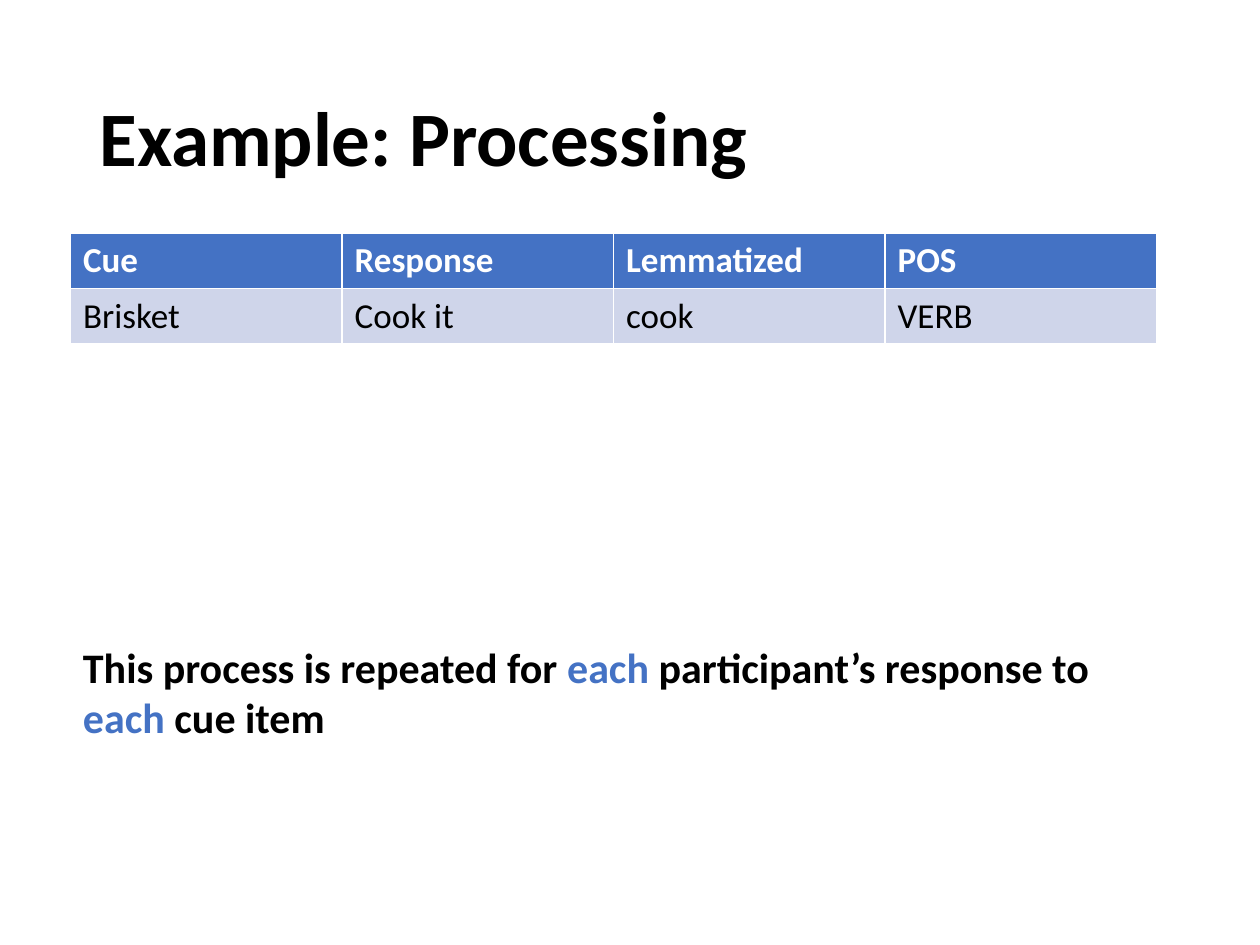
from pptx import Presentation
from pptx.dml.color import RGBColor
from pptx.enum.text import MSO_ANCHOR as Anchor, MSO_AUTO_SIZE as AutoSize, PP_ALIGN as Align
from pptx.util import Inches, Pt

COLORS = {"text": "000000", "accent": "4472C4", "header_text": "FFFFFF", "body_fill": "CFD5EA"}
FONT = "Calibri"
TITLE = "Example: Processing"
ROWS = [
    ("Cue", "Response", "Lemmatized", "POS"),
    ("Brisket", "Cook it", "cook", "VERB"),
]
SUMMARY = [
    ("This process is repeated for ", "text"),
    ("each", "accent"),
    (" participant’s response to ", "text"),
    ("each", "accent"),
    (" cue item", "text"),
]
LEFT, TABLE_WIDTH, ROW_HEIGHT = 0.56, 8.62, 0.43


def rgb(key):
    """Return the named colour."""
    return RGBColor.from_string(COLORS[key])


def add_run(paragraph, text, size, color, bold=True):
    """Append one formatted run."""
    run = paragraph.add_run()
    run.text = text
    run.font.name = FONT
    run.font.size = Pt(size)
    run.font.bold = bold
    run.font.color.rgb = rgb(color)


def add_title(slide):
    """Place the title in its placeholder."""
    title = slide.shapes.title
    title.left, title.top = Inches(0.69), Inches(0.4)
    title.width, title.height = Inches(8.62), Inches(1.45)
    frame = title.text_frame
    frame.auto_size = AutoSize.NONE
    frame.vertical_anchor = Anchor.MIDDLE
    heading = frame.paragraphs[0]
    heading.alignment = Align.LEFT
    heading.line_spacing = 0.9
    add_run(heading, TITLE, 44, "text")


def add_responses(slide):
    """Build the table of processed responses."""
    responses = slide.shapes.add_table(
        len(ROWS), len(ROWS[0]), Inches(LEFT), Inches(1.85),
        Inches(TABLE_WIDTH), Inches(ROW_HEIGHT * len(ROWS)),
    ).table
    for row, texts in enumerate(ROWS):
        is_header = row == 0
        for column, text in enumerate(texts):
            cell = responses.cell(row, column)
            cell.fill.solid()
            cell.fill.fore_color.rgb = rgb("accent" if is_header else "body_fill")
            color = "header_text" if is_header else "text"
            add_run(cell.text_frame.paragraphs[0], text, 20, color, is_header)


def add_summary(slide):
    """Add the closing statement."""
    summary = slide.shapes.add_textbox(Inches(LEFT), Inches(5.04), Inches(8.49), Inches(0.91))
    frame = summary.text_frame
    frame.word_wrap = True
    frame.auto_size = AutoSize.SHAPE_TO_FIT_TEXT
    for text, color in SUMMARY:
        add_run(frame.paragraphs[0], text, 24, color)


def main():
    """Build and save the slide."""
    deck = Presentation()
    deck.slide_width, deck.slide_height = Inches(10), Inches(7.5)
    slide = deck.slides.add_slide(deck.slide_layouts.get_by_name("Title Only"))
    add_title(slide)
    add_responses(slide)
    add_summary(slide)
    deck.save("out.pptx")


if __name__ == "__main__":
    main()
